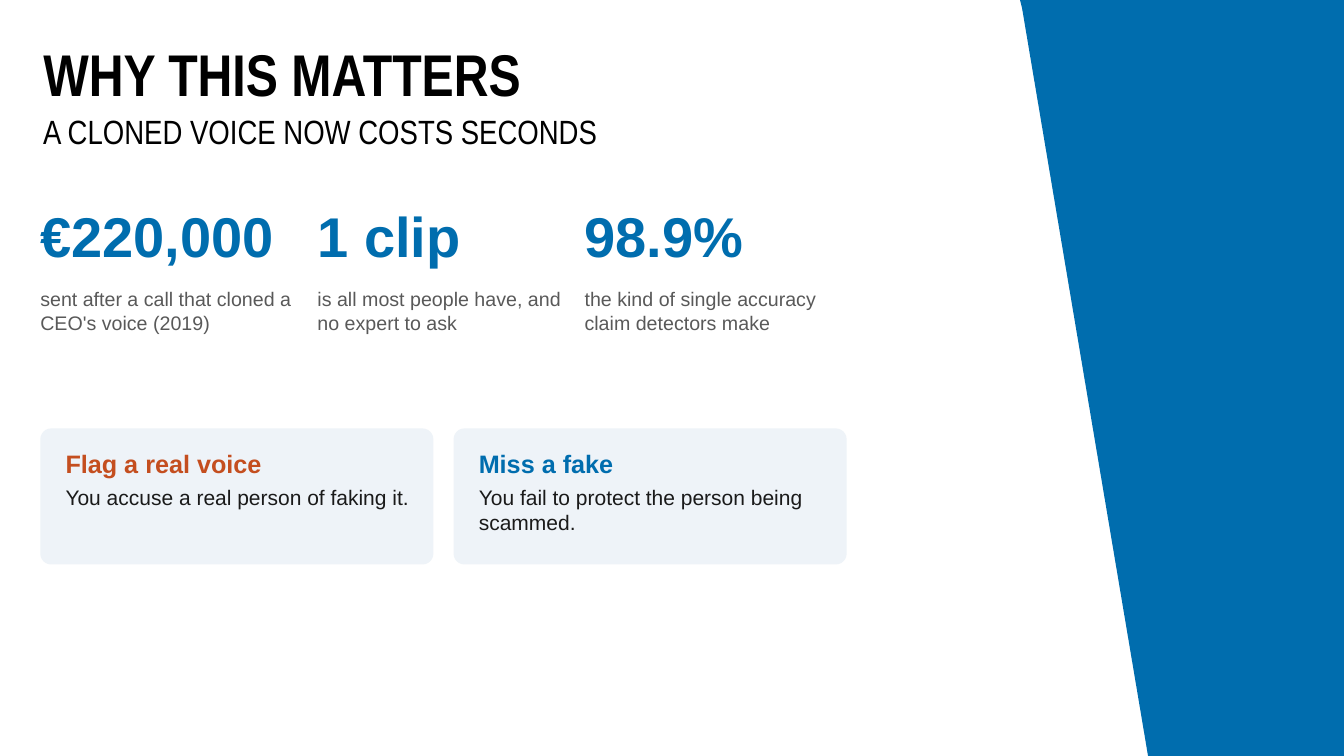
"""Build the slide on why voice cloning matters."""
from dataclasses import dataclass

from pptx import Presentation
from pptx import util as u
from pptx.dml.color import RGBColor
from pptx.enum import shapes, text

BLUE = RGBColor(0x00, 0x6D, 0xAE)
RUST = RGBColor(0xC4, 0x4E, 0x1F)
GREY = RGBColor(0x59, 0x59, 0x59)
INK = RGBColor(0x1A, 0x1A, 0x1A)
BLACK = RGBColor(0x00, 0x00, 0x00)
PALE = RGBColor(0xEE, 0xF3, 0xF8)

WIDTH, HEIGHT = 960, 540
MARGIN = 28.8
CARD_WIDTH, CARD_TOP, CARD_HEIGHT, CARD_GAP = 280.8, 306, 97.2, 14.4
PANEL = [(728.64, 0), (730.08, 5.76), (820.08, HEIGHT), (WIDTH, HEIGHT), (WIDTH, 0)]

FRAME = {"word_wrap": True, "auto_size": text.MSO_AUTO_SIZE.SHAPE_TO_FIT_TEXT,
         "margin_left": 0, "margin_top": 0, "margin_right": 0, "margin_bottom": 0}
HEADING_FRAME = {"word_wrap": True, "auto_size": text.MSO_AUTO_SIZE.NONE,
                 "vertical_anchor": text.MSO_ANCHOR.MIDDLE,
                 "margin_left": u.Pt(7.2), "margin_top": u.Pt(3.6),
                 "margin_right": u.Pt(7.2), "margin_bottom": u.Pt(3.6)}
PARAGRAPH = {"space_after": u.Pt(4)}
HEADING_PARAGRAPH = {"line_spacing": 0.9, "alignment": text.PP_ALIGN.LEFT}


@dataclass
class Line:
    text: str
    size: float
    color: RGBColor
    bold: bool = False
    font: str = "Arial"


@dataclass
class Stat:
    left: float
    width: float
    figure: str
    caption: str


@dataclass
class Card:
    heading: str
    color: RGBColor
    body: str


STATS = [
    Stat(MARGIN, 187.2, "€220,000", "sent after a call that cloned a CEO's voice (2019)"),
    Stat(226.8, 180, "1 clip", "is all most people have, and no expert to ask"),
    Stat(417.6, 187.2, "98.9%", "the kind of single accuracy claim detectors make"),
]
CARDS = [
    Card("Flag a real voice", RUST, "You accuse a real person of faking it."),
    Card("Miss a fake", BLUE, "You fail to protect the person being scammed."),
]


def apply(target: object, values: dict) -> None:
    """Set each named attribute on the target."""
    for name, value in values.items():
        setattr(target, name, value)


def write(sp, lines: list[Line], frame: dict, paragraph: dict) -> None:
    """Fill a shape with one paragraph per line."""
    tf = sp.text_frame
    apply(tf, frame)
    for i, line in enumerate(lines):
        p = tf.add_paragraph() if i else tf.paragraphs[0]
        apply(p, paragraph)
        r = p.add_run()
        r.text = line.text
        apply(r.font, {"name": line.font, "size": u.Pt(line.size), "bold": line.bold})
        r.font.color.rgb = line.color


def add_text(s, left: float, top: float, width: float, height: float, lines: list[Line],
             frame: dict = FRAME, paragraph: dict = PARAGRAPH) -> None:
    """Add a text box measured in points."""
    sp = s.shapes.add_textbox(u.Pt(left), u.Pt(top), u.Pt(width), u.Pt(height))
    write(sp, lines, frame, paragraph)


def paint(sp, color: RGBColor) -> None:
    """Give a shape a flat fill without outline or shadow."""
    sp.fill.solid()
    sp.fill.fore_color.rgb = color
    sp.line.fill.background()
    sp.shadow.inherit = False


def add_panel(s) -> None:
    """Draw the slanted panel on the right."""
    points = [(u.Pt(x), u.Pt(y)) for x, y in PANEL]
    builder = s.shapes.build_freeform(*points[0])
    builder.add_line_segments(points[1:], close=True)
    paint(builder.convert_to_shape(), BLUE)


def add_headings(s) -> None:
    """Format the title and add the subtitle."""
    title = s.shapes.title
    apply(title, {"left": u.Pt(23.76), "top": u.Pt(25.92),
                  "width": u.Pt(586.8), "height": u.Pt(58.32)})
    write(title, [Line("WHY THIS MATTERS", 42, BLACK, True, "Arial Narrow")],
          HEADING_FRAME, HEADING_PARAGRAPH)
    add_text(s, 23.76, 77.04, 586.8, 36.72,
             [Line("A CLONED VOICE NOW COSTS SECONDS", 24, BLACK, False, "Arial Narrow")],
             HEADING_FRAME, HEADING_PARAGRAPH)


def add_stat(s, stat: Stat) -> None:
    """Add a large figure with its caption."""
    add_text(s, stat.left, 144, stat.width, 57.6, [Line(stat.figure, 40, BLUE, True)])
    add_text(s, stat.left, 205.2, stat.width, 64.8, [Line(stat.caption, 14, GREY)])


def add_card(s, index: int, card: Card) -> None:
    """Add a rounded card with its heading and body."""
    left = MARGIN + index * (CARD_WIDTH + CARD_GAP)
    sp = s.shapes.add_shape(shapes.MSO_SHAPE.ROUNDED_RECTANGLE, u.Pt(left), u.Pt(CARD_TOP),
                            u.Pt(CARD_WIDTH), u.Pt(CARD_HEIGHT))
    sp.adjustments[0] = 0.08
    paint(sp, PALE)
    add_text(s, left + 18, CARD_TOP + 14.4, 248.4, 122.4,
             [Line(card.heading, 18, card.color, True), Line(card.body, 15, INK)])


def main() -> None:
    """Assemble and save the slide."""
    prs = Presentation()
    apply(prs, {"slide_width": u.Pt(WIDTH), "slide_height": u.Pt(HEIGHT)})
    s = prs.slides.add_slide(prs.slide_layouts.get_by_name("Title Only"))
    add_panel(s)
    add_headings(s)
    for stat in STATS:
        add_stat(s, stat)
    for index, card in enumerate(CARDS):
        add_card(s, index, card)
    prs.save("out.pptx")


if __name__ == "__main__":
    main()
